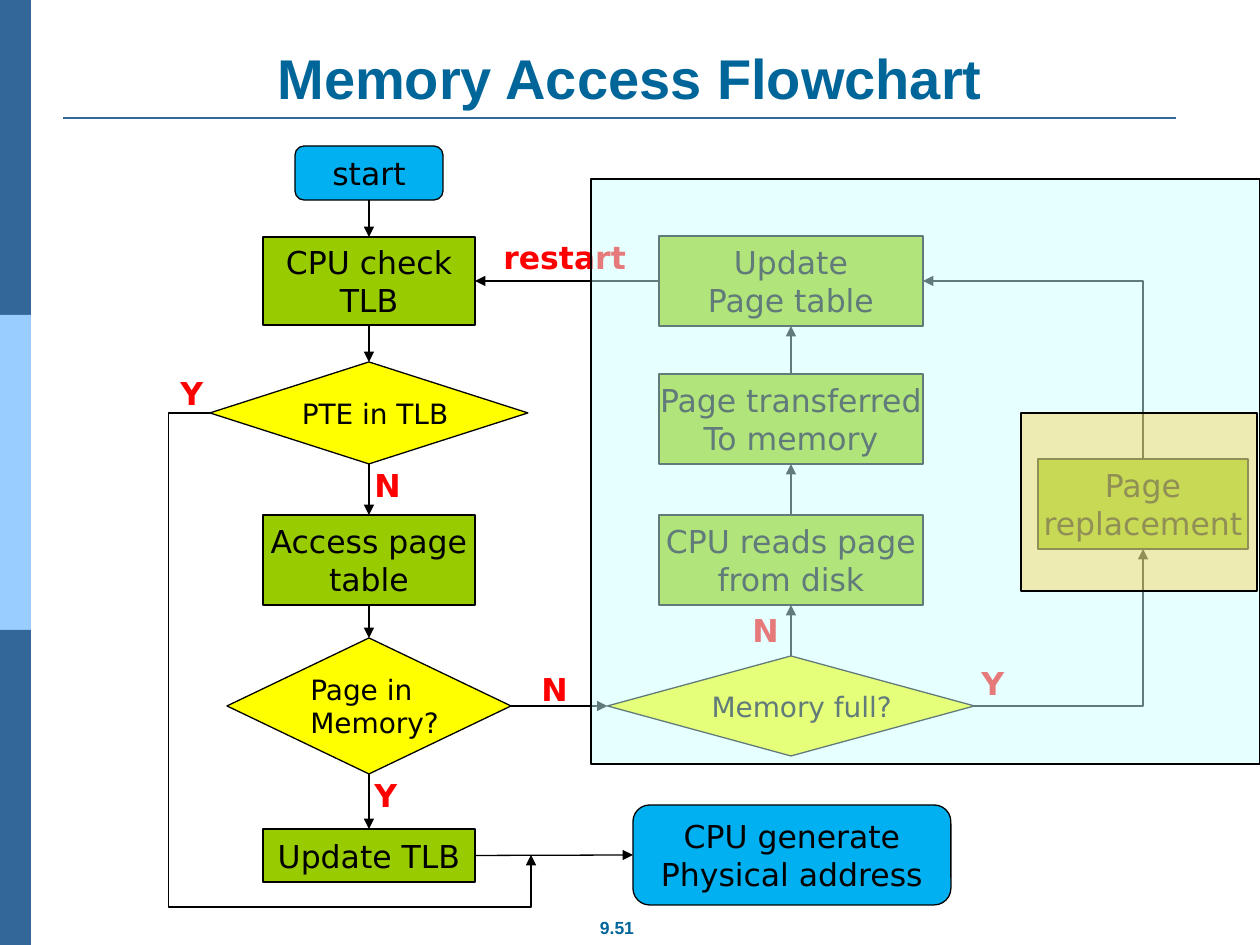
from pptx import Presentation
from pptx.dml.color import RGBColor
from pptx.enum import shapes, text
from pptx.oxml.ns import qn
from pptx.util import Inches, Pt
from lxml import etree

PX = Inches(1) / 126
NAVY = RGBColor(0x33, 0x66, 0x99)
SKY = RGBColor(0x99, 0xCC, 0xFF)
TEAL = RGBColor(0x00, 0x66, 0x99)
BLUE = RGBColor(0x00, 0xB0, 0xF0)
GREEN = RGBColor(0x99, 0xCC, 0x00)
YELLOW = RGBColor(0xFF, 0xFF, 0x00)
RED = RGBColor(0xFF, 0x00, 0x00)
AQUA = RGBColor(0xCC, 0xFF, 0xFF)
GOLD = RGBColor(0xFF, 0xC0, 0x00)
BLACK = RGBColor(0, 0, 0)
SANS = "DejaVu Sans"
KIND = shapes.MSO_SHAPE
LEFT, MID = text.PP_ALIGN.LEFT, text.PP_ALIGN.CENTER

# Look of each node: shape, fill, text size, alignment
LOOKS = {
    "end": (KIND.ROUNDED_RECTANGLE, BLUE, 18, MID),
    "step": (KIND.RECTANGLE, GREEN, 18, MID),
    "test": (KIND.DIAMOND, YELLOW, 16, LEFT),
}
# Name: look, centre x, top, width, height, lines
COL1, COL2, COL3 = 369, 791, 1143
NODES = {
    "start": ("end", COL1, 146, 148, 54, ["start"]),
    "check": ("step", COL1, 237, 212, 88, ["CPU check", "TLB"]),
    "hit": ("test", COL1, 362, 318, 102, ["PTE in TLB"]),
    "access": ("step", COL1, 515, 212, 90, ["Access page", "table"]),
    "inmem": ("test", COL1, 638, 284, 136, ["Page in", "Memory?"]),
    "tlb": ("step", COL1, 829, 212, 53, ["Update TLB"]),
    "done": ("end", 792, 805, 318, 100, ["CPU generate", "Physical address"]),
    "update": ("step", COL2, 236, 264, 90, ["Update", "Page table"]),
    "move": ("step", COL2, 374, 264, 90, ["Page transferred", "To memory"]),
    "read": ("step", COL2, 515, 264, 90, ["CPU reads page", "from disk"]),
    "full": ("test", COL2, 656, 367, 100, ["Memory full?"]),
    "swap": ("step", COL3, 459, 210, 90, ["Page", "replacement"]),
}
# Straight arrows: from, to, sides they leave and enter
TOP, WEST, FOOT, EAST = range(4)
LINKS = [
    ("start", "check", FOOT, TOP), ("check", "hit", FOOT, TOP),
    ("hit", "access", FOOT, TOP), ("access", "inmem", FOOT, TOP),
    ("inmem", "tlb", FOOT, TOP), ("tlb", "done", EAST, WEST),
    ("inmem", "full", EAST, WEST), ("full", "read", TOP, FOOT),
    ("read", "move", TOP, FOOT), ("move", "update", TOP, FOOT),
    ("update", "check", WEST, EAST),
]
# Bent arrows: start, end, geometry, adjustments, starts upright
BENDS = [
    ((210, 413), (531, 855), "bentConnector4", (-12900, 111800), False),
    ((974, 706), (COL3, 549), "bentConnector2", (), False),
    ((COL3, 459), (923, 281), "bentConnector2", (), True),
]
# Labels: left, top, width, word
LABELS = [
    (168, 368, 69, "Y"), (362, 460, 69, "N"), (362, 770, 69, "Y"),
    (529, 664, 69, "N"), (740, 605, 69, "N"), (969, 658, 69, "Y"),
    (491, 232, 229, "restart"),
]
# See-through panels: left, top, width, height, fill, opacity in percent
VEILS = [(591, 179, 669, 585, AQUA, 48), (1021, 413, 236, 178, GOLD, 30)]
BARS = [NAVY, SKY, NAVY]

deck = Presentation()
deck.slide_width, deck.slide_height = Inches(10), Inches(7.5)
page = deck.slides.add_slide(deck.slide_layouts[5])
tree = page.shapes


def px(*vals):
    return [round(v * PX) for v in vals]


def write(frame, lines, size, color, align=LEFT, bold=False, font=SANS):
    for i, line in enumerate(lines):
        para = frame.paragraphs[0] if i == 0 else frame.add_paragraph()
        para.alignment = align
        run = para.add_run()
        run.text = line
        run.font.name, run.font.size = font, Pt(size)
        run.font.bold, run.font.color.rgb = bold, color


def block(kind, box, fill, edge=True):
    item = tree.add_shape(kind, *px(*box))
    item.shadow.inherit = False
    item.fill.solid()
    item.fill.fore_color.rgb = fill
    if edge:
        item.line.color.rgb, item.line.width = BLACK, Pt(0.75)
    else:
        item.line.fill.background()
    return item


def label(box, word, wrap=True, **style):
    item = tree.add_textbox(*px(*box))
    item.text_frame.word_wrap = wrap
    write(item.text_frame, [word], bold=True, **style)


def wire(kind, ends, color=BLACK, width=0.75, head=True):
    item = tree.add_connector(kind, *px(*ends))
    item.line.color.rgb, item.line.width = color, Pt(width)
    if head:
        etree.SubElement(item.line._get_or_add_ln(), qn("a:tailEnd"), type="triangle")
    etree.SubElement(item._element.spPr, qn("a:effectLst"))
    return item


def bend(start, end, geom, adjs, upright):
    (x1, y1), (x2, y2) = start, end
    if upright:  # turned a quarter about the middle of the bend
        cx, cy, dx, dy = (x1 + x2) / 2, (y1 + y2) / 2, (x2 - x1) / 2, (y2 - y1) / 2
        x1, y1, x2, y2 = cx + dy, cy - dx, cx - dy, cy + dx
    item = wire(shapes.MSO_CONNECTOR.ELBOW, (x1, y1, x2, y2))
    props = item._element.spPr
    if upright:
        props.find(qn("a:xfrm")).set("rot", str(270 * 60000))
    shape = props.find(qn("a:prstGeom"))
    shape.set("prst", geom)
    guides = shape.find(qn("a:avLst"))
    for i, adj in enumerate(adjs, 1):
        etree.SubElement(guides, qn("a:gd"), name=f"adj{i}", fmla=f"val {adj}")


# Side bars, title with its rule, page number
for i, tint in enumerate(BARS):
    block(KIND.RECTANGLE, (0, i * 315, 31, 315), tint, edge=False)
wire(shapes.MSO_CONNECTOR.STRAIGHT, (63, 118, 1176, 118), NAVY, 1.5, head=False)
title = tree.title
title.left, title.top, title.width, title.height = px(63, 38, 1134, 79)
title.text_frame.vertical_anchor = text.MSO_ANCHOR.BOTTOM
write(title.text_frame, ["Memory Access Flowchart"], 32, TEAL, MID, True, "Arial")
label((586, 911, 62, 34), "9.51", False, size=10, color=TEAL, align=MID, font="Arial")

# Nodes
made = {}
for name, (look, mid, top, wide, high, lines) in NODES.items():
    kind, fill, size, align = LOOKS[look]
    node = made[name] = block(kind, (mid - wide / 2, top, wide, high), fill)
    node.text_frame.word_wrap = False
    node.text_frame.vertical_anchor = text.MSO_ANCHOR.MIDDLE
    write(node.text_frame, lines, size, BLACK, align)

# Arrows and their labels
for src, dst, out, into in LINKS:
    link = wire(shapes.MSO_CONNECTOR.STRAIGHT, (0, 0, 0, 0))
    link.begin_connect(made[src], out)
    link.end_connect(made[dst], into)
for row in BENDS:
    bend(*row)
for left, top, wide, word in LABELS:
    label((left, top, wide, 50), word, size=18, color=RED)

# Panels over the page fault part
for *box, fill, clear in VEILS:
    veil = block(KIND.RECTANGLE, box, fill)
    tone = veil._element.spPr.find(qn("a:solidFill"))[0]
    etree.SubElement(tone, qn("a:alpha"), val=str(clear * 1000))

deck.save("out.pptx")
